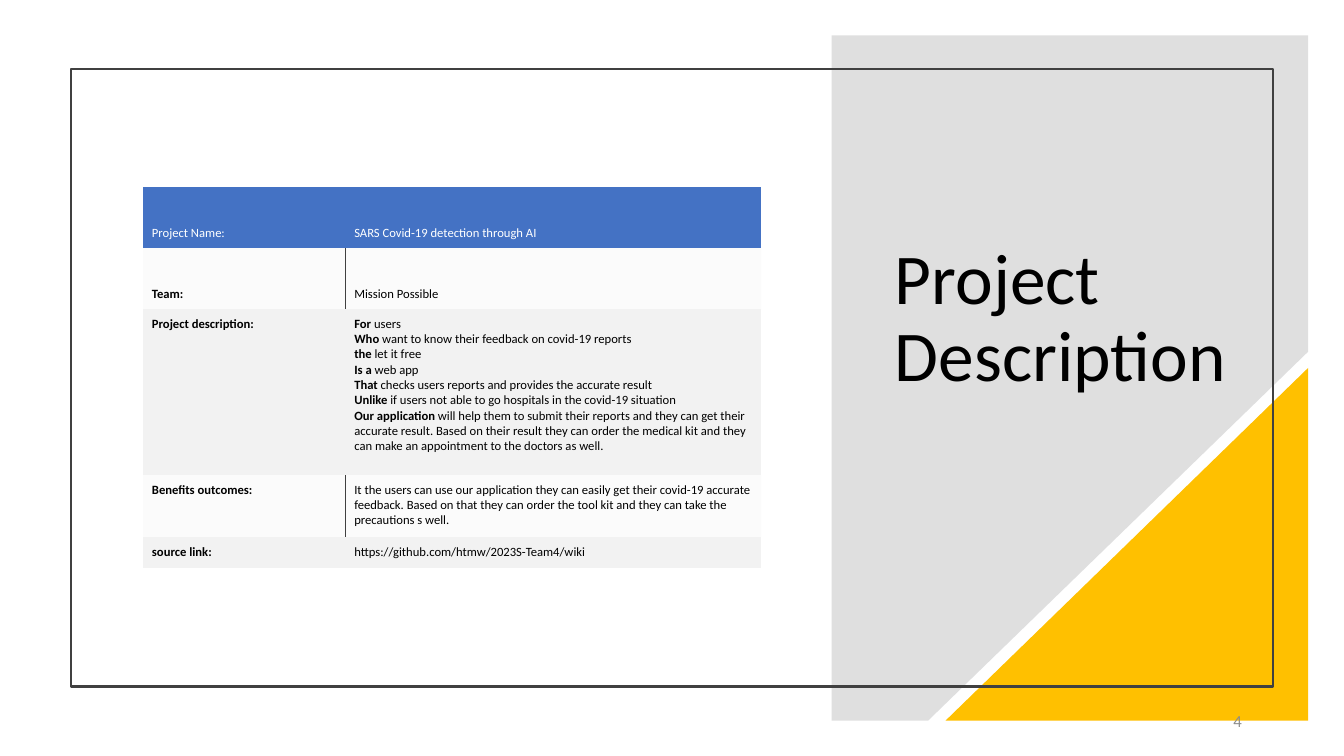
from lxml import etree
from pptx import Presentation
from pptx.dml.color import RGBColor
from pptx.enum.shapes import MSO_SHAPE
from pptx.enum.text import MSO_ANCHOR, PP_ALIGN
from pptx.oxml.ns import qn
from pptx.util import Cm, Pt

RECT, TRIANGLE = MSO_SHAPE.RECTANGLE, MSO_SHAPE.RIGHT_TRIANGLE
TOP, MIDDLE, BOTTOM = MSO_ANCHOR.TOP, MSO_ANCHOR.MIDDLE, MSO_ANCHOR.BOTTOM
LEFT, RIGHT = PP_ALIGN.LEFT, PP_ALIGN.RIGHT
TITLE_ONLY = 5
FONT = "Calibri"
BLUE, PALE, DARK, GOLD = "4472C4", "F2F2F2", "404040", "FFC000"
PLAIN_STYLE = "{2D5ABB26-0587-4C30-8999-92F81FD0307C}"

PANEL = [(20.96, 0.89), (32.97, 0.89), (32.97, 8.86), (23.39, 18.16), (20.96, 18.16)]
COLS = [5.1, 10.47]
ROWS = [1.54, 1.54, 4.18, 1.56, 0.78]
# Each paragraph is a pair: bold lead, plain rest
CELLS = [
    [[("", "Project Name:")], [("", "SARS Covid-19 detection through AI")]],
    [[("Team:", "")], [("", "Mission Possible")]],
    [[("Project description:", "")], [
        ("For ", "users"),
        ("Who", " want to know their feedback on covid-19 reports"),
        ("the", " let it free"),
        ("Is a ", "web app"),
        ("That ", "checks users reports and provides the accurate result"),
        ("Unlike", " if users not able to go hospitals in the covid-19 situation"),
        ("Our application ", "will help them to submit their reports and they can get "
         "their accurate result. Based on their result they can order the medical kit "
         "and they can make an appointment to the doctors as well."),
    ]],
    [[("Benefits outcomes:", "")], [
        ("", "It the users can use our application they can easily get their covid-19 "
         "accurate feedback. Based on that they can order the tool kit and they can "
         "take the precautions s well."),
    ]],
    [[("source link:", "")], [("", "https://github.com/htmw/2023S-Team4/wiki")]],
]


def color(code):
    return RGBColor.from_string(code)


def paint(fill, code, alpha=100):
    """Fill with a solid colour at alpha percent opacity."""
    fill.solid()
    fill.fore_color.rgb = color(code)
    if alpha < 100:
        tint = fill._xPr.find(".//" + qn("a:srgbClr"))
        etree.SubElement(tint, qn("a:alpha"), val=str(alpha * 1000))


def write(frame, paras, size=9, ink="000000", align=LEFT, space=None):
    frame.word_wrap = True
    for i, pair in enumerate(paras):
        para = frame.add_paragraph() if i else frame.paragraphs[0]
        para.alignment = align
        para.line_spacing = space
        for text, bold in zip(pair, (True, False)):
            if text:
                run = para.add_run()
                run.text = text
                run.font.name, run.font.size = FONT, Pt(size)
                run.font.bold = bold
                run.font.color.rgb = color(ink)


def place(shape, box):
    shape.left, shape.top, shape.width, shape.height = map(Cm, box)


def add_panel(slide):
    points = [(Cm(x), Cm(y)) for x, y in PANEL]
    form = slide.shapes.build_freeform(*points[0])
    form.add_line_segments(points[1:], close=True)
    panel = form.convert_to_shape()
    panel.shadow.inherit = False
    paint(panel.fill, "808080", 25)
    panel.line.fill.background()


def add_block(slide, kind, box, fill=None, line=None):
    block = slide.shapes.add_shape(kind, *map(Cm, box))
    block.shadow.inherit = False
    if fill:
        paint(block.fill, fill)
    else:
        block.fill.background()
    if line:
        block.line.color.rgb = color(line)
        block.line.width = Pt(1.5)
    else:
        block.line.fill.background()
    return block


def add_edge(cell, tag):
    edge = etree.Element(qn(tag), w=str(Pt(0.5)))
    solid = etree.SubElement(edge, qn("a:solidFill"))
    etree.SubElement(solid, qn("a:srgbClr"), val=DARK)
    cell._tc.get_or_add_tcPr().insert(0, edge)


def add_grid(slide):
    box = map(Cm, (3.61, 4.71, sum(COLS), sum(ROWS)))
    table = slide.shapes.add_table(len(ROWS), len(COLS), *box).table
    table._tbl.tblPr.find(qn("a:tableStyleId")).text = PLAIN_STYLE
    for col, width in zip(table.columns, COLS):
        col.width = Cm(width)
    for r, (height, row) in enumerate(zip(ROWS, CELLS)):
        table.rows[r].height = Cm(height)
        light = r % 2 == 1
        for c, paras in enumerate(row):
            cell = table.cell(r, c)
            cell.margin_left = Cm(0.22)
            cell.margin_right = cell.margin_top = cell.margin_bottom = Cm(0.18)
            cell.vertical_anchor = BOTTOM if r < 2 else TOP
            write(cell.text_frame, paras, ink="000000" if r else "FFFFFF")
            paint(cell.fill, PALE if r else BLUE, 30 if light else 100)
            if light:
                add_edge(cell, "a:lnL" if c else "a:lnR")


def main():
    deck = Presentation()
    deck.slide_width, deck.slide_height = Cm(33.87), Cm(19.05)
    slide = deck.slides.add_slide(deck.slide_layouts[TITLE_ONLY])

    add_panel(slide)
    wedge = add_block(slide, TRIANGLE, (23.83, 9.27, 9.14, 8.89), fill=GOLD)
    wedge._element.spPr.find(qn("a:xfrm")).set("flipH", "1")
    add_block(slide, RECT, (1.78, 1.73, 30.3, 15.57), line=DARK)

    title = slide.shapes.title
    place(title, (22.3, 2.24, 9.32, 7.9))
    title.text_frame.vertical_anchor = BOTTOM
    write(title.text_frame, [("", "Project Description")], size=51, space=0.9)
    slide.shapes._spTree.append(title._element)

    add_grid(slide)

    number = slide.shapes.add_textbox(*map(Cm, (23.93, 17.65, 7.62, 1.02)))
    number.text_frame.vertical_anchor = MIDDLE
    write(number.text_frame, [("", "4")], size=12, ink="8C8C8C", align=RIGHT)

    deck.save("out.pptx")


if __name__ == "__main__":
    main()
